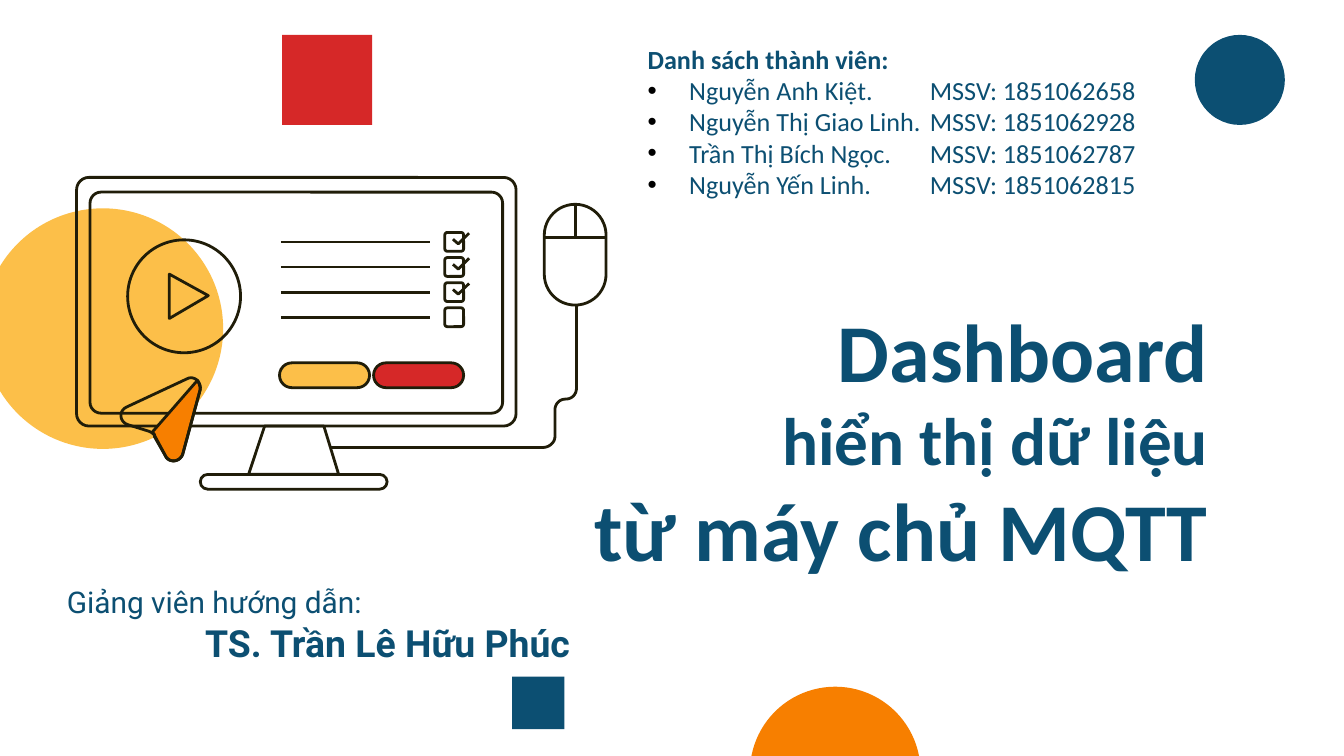
from dataclasses import dataclass
from typing import NamedTuple, Optional

from lxml.etree import SubElement
from pptx import Presentation
from pptx.dml.color import RGBColor
from pptx.enum.shapes import MSO_CONNECTOR, MSO_SHAPE
from pptx.enum.text import MSO_ANCHOR, PP_ALIGN
from pptx.oxml.ns import qn
from pptx.util import Inches, Pt


@dataclass(frozen=True)
class Theme:
    navy: str = "0C4F72"
    red: str = "D62828"
    gold: str = "FCBF49"
    orange: str = "F77F00"
    ink: str = "201D09"
    black: str = "000000"
    stroke: float = 1.5
    sans: str = "Calibri"
    alt: str = "Roboto"
    big: int = 44
    mid: int = 36
    name: int = 20
    lead: int = 16
    small: int = 14


class Form(NamedTuple):
    """A preset shape, placed in grid columns and rows."""
    kind: MSO_SHAPE
    x: float
    y: float
    w: float
    h: float
    fill: Optional[str] = None
    drawn: bool = True
    bend: Optional[float] = None


class Trace(NamedTuple):
    """An outline: pairs are corners, sixes are Bezier curves."""
    steps: list
    fill: Optional[str] = None
    closed: bool = True


T = Theme()
OVAL, RECT, ROUND = MSO_SHAPE.OVAL, MSO_SHAPE.RECTANGLE, MSO_SHAPE.ROUNDED_RECTANGLE
COLS, ROWS = 100, 56.25  # square cells across the slide
deck = Presentation()
deck.slide_width, deck.slide_height = Inches(10), Inches(5.625)
CELL = deck.slide_width / COLS
slide = deck.slides.add_slide(deck.slide_layouts[6])
shapes = slide.shapes


def cells(*vals: float) -> list[int]:
    return [round(v * CELL) for v in vals]


def paint(shape, fill: Optional[str], drawn: bool) -> None:
    shape.shadow.inherit = False
    if fill:
        shape.fill.solid()
        shape.fill.fore_color.rgb = RGBColor.from_string(fill)
    else:
        shape.fill.background()
    if drawn:
        ink(shape.line)
    else:
        shape.line.fill.background()


def ink(line) -> None:
    line.color.rgb = RGBColor.from_string(T.ink)
    line.width = Pt(T.stroke)


def draw(form: Form) -> None:
    shape = shapes.add_shape(form.kind, *cells(form.x, form.y, form.w, form.h))
    if form.bend is not None:
        shape.adjustments[0] = form.bend
    paint(shape, form.fill, form.drawn)


def rule(x1: float, y1: float, x2: float, y2: float) -> None:
    line = shapes.add_connector(MSO_CONNECTOR.STRAIGHT, *cells(x1, y1, x2, y2))
    ink(line.line)
    SubElement(line._element.spPr, qn("a:effectLst"))


def curve(p0: tuple, step: tuple, parts: int = 10) -> list[tuple]:
    pts = [p0, step[:2], step[2:4], step[4:]]
    out = []
    for i in range(1, parts + 1):
        t = i / parts
        mix = ((1 - t) ** 3, 3 * t * (1 - t) ** 2, 3 * t * t * (1 - t), t ** 3)
        out.append(tuple(sum(m * p[k] for m, p in zip(mix, pts)) for k in (0, 1)))
    return out


def trace(path: Trace) -> None:
    pts = [path.steps[0]]
    for step in path.steps[1:]:
        pts += [step] if len(step) == 2 else curve(pts[-1], step)
    pen = shapes.build_freeform(*cells(*pts[0]), scale=1.0)
    pen.add_line_segments([tuple(cells(*p)) for p in pts[1:]], close=path.closed)
    paint(pen.convert_to_shape(), path.fill, True)


def frame(x: float, y: float, w: float, h: float, anchor: MSO_ANCHOR, pad: float):
    body = shapes.add_textbox(*cells(x, y, w, h)).text_frame
    body.word_wrap = True
    body.vertical_anchor = anchor
    body.margin_top = body.margin_bottom = Inches(pad)
    return body


def write(para, text: str, size: int, face: str, bold: bool = False) -> None:
    run = para.add_run()
    run.text = text
    run.font.size, run.font.name, run.font.bold = Pt(size), face, bold
    run.font.color.rgb = RGBColor.from_string(T.navy)


def bullet(para, tab: float) -> None:
    props = para._p.get_or_add_pPr()
    hang, stop = cells(3.1, tab)
    props.set("marL", str(hang))
    props.set("indent", str(-hang))
    tint = SubElement(SubElement(props, qn("a:buClr")), qn("a:srgbClr"))
    tint.set("val", T.black)
    SubElement(props, qn("a:buFont")).set("typeface", "Arial")
    SubElement(props, qn("a:buChar")).set("char", "•")
    mark = SubElement(SubElement(props, qn("a:tabLst")), qn("a:tab"))
    mark.set("pos", str(stop))
    mark.set("algn", "l")


# Plain accents around the edges
for accent in (
    Form(OVAL, 55.8, 51.1, 12.7, 12.7, T.orange, False),
    Form(RECT, 21, 2.6, 6.7, 6.7, T.red, False),
    Form(RECT, 38.1, 50.35, 3.9, 3.9, T.navy, False),
    Form(OVAL, 88.9, 2.6, 6.7, 6.7, T.navy, False),
    Form(OVAL, -1.3, 15.5, 17.9, 17.9, T.gold, False),
):
    draw(accent)

# Title
title = frame(24.1, 25.4, 66.8, 18.6, MSO_ANCHOR.BOTTOM, 0.1).paragraphs[0]
title.alignment = PP_ALIGN.RIGHT
write(title, "Dashboard", T.big, T.sans, True)
title.add_line_break()
write(title, "hiển thị dữ liệu", T.mid, T.sans, True)
title.add_line_break()
write(title, "từ máy chủ MQTT", T.big, T.sans, True)

# Supervisor
guide = frame(4, 44.1, 49.7, 4.7, MSO_ANCHOR.MIDDLE, 0.1)
write(guide.paragraphs[0], "Giảng viên hướng dẫn:", T.lead, T.alt)
tutor = guide.add_paragraph()
tutor.alignment = PP_ALIGN.CENTER
write(tutor, "TS. Trần Lê Hữu Phúc", T.name, T.alt, True)

# Monitor: stand, screen and bezel
trace(Trace([(25.2, 35.3), (24.1, 31.7), (19.7, 31.7), (18.5, 35.3)]))
draw(Form(ROUND, 6.7, 14.3, 30.7, 16.45, bend=0.05))
draw(Form(ROUND, 5.7, 13.2, 32.7, 18.5, bend=0.05))
draw(Form(ROUND, 14.9, 35.3, 13.9, 1.1, bend=0.5))

# Checklist: four rows, the first three ticked
for row in range(4):
    top = 17.3 + row * 1.87
    draw(Form(ROUND, 33.1, top, 1.4, 1.4, bend=0.13))
    rule(20.9, top + 0.7, 32, top + 0.7)
    if row < 3:
        trace(Trace([(33.7, top + 0.5), (34.1, top + 0.85), (34.9, top + 0.05)],
                    closed=False))

# Buttons
for left, hue in ((27.8, T.red), (20.8, T.gold)):
    draw(Form(ROUND, left, 27, 6.7, 1.85, hue, bend=0.5))

# Pointer: shaded half, then whole outline
trace(Trace([(14.7, 28.3), (14.8, 28.5, 14.9, 28.7, 14.9, 29), (13.6, 33.8),
             (13.5, 34.1, 13.2, 34.3, 12.9, 34.3),
             (12.7, 34.3, 12.4, 34.2, 12.3, 33.9), (11.5, 32.5),
             (11.5, 32.3, 11.4, 32.3, 11.3, 32.2)], T.orange))
trace(Trace([(9.4, 30.3), (13.9, 28.2), (14.4, 27.9, 15, 28.4, 14.9, 29),
             (13.6, 33.8), (13.4, 34.4, 12.6, 34.5, 12.3, 33.9), (11.5, 32.4),
             (11.5, 32.3, 11.4, 32.2, 11.3, 32.2), (11.1, 32.1), (9.5, 31.6),
             (8.9, 31.4, 8.8, 30.6, 9.4, 30.3)]))

# Play button
draw(Form(OVAL, 9.5, 17.85, 8.4, 8.4))
trace(Trace([(15.5, 22), (12.6, 20.4), (12.6, 23.7)]))

# Mouse and cable
draw(Form(ROUND, 40.5, 15.2, 4.6, 7.5, bend=0.5))
rule(40.5, 17.7, 45.1, 17.7)
rule(42.8, 15.2, 42.8, 17.7)
trace(Trace([(42.9, 22.7), (42.9, 28.9), (42.9, 29.3, 42.6, 29.7, 42.1, 29.7),
             (41.6, 29.7, 41.3, 30.1, 41.3, 30.5), (41.3, 32.5),
             (41.3, 32.9, 40.9, 33.3, 40.4, 33.3), (24.6, 33.3)], closed=False))

# Members, with their numbers on a tab stop
team = frame(47.2, 2.7, 40.9, 12.8, MSO_ANCHOR.TOP, 0.05)
write(team.paragraphs[0], "Danh sách thành viên:", T.small, T.sans, True)
for who, code in (
    ("Nguyễn Anh Kiệt.", 1851062658),
    ("Nguyễn Thị Giao Linh.", 1851062928),
    ("Trần Thị Bích Ngọc.", 1851062787),
    ("Nguyễn Yến Linh.", 1851062815),
):
    line = team.add_paragraph()
    bullet(line, 21)
    write(line, f"{who}\tMSSV: {code}", T.small, T.sans)

deck.save("out.pptx")
